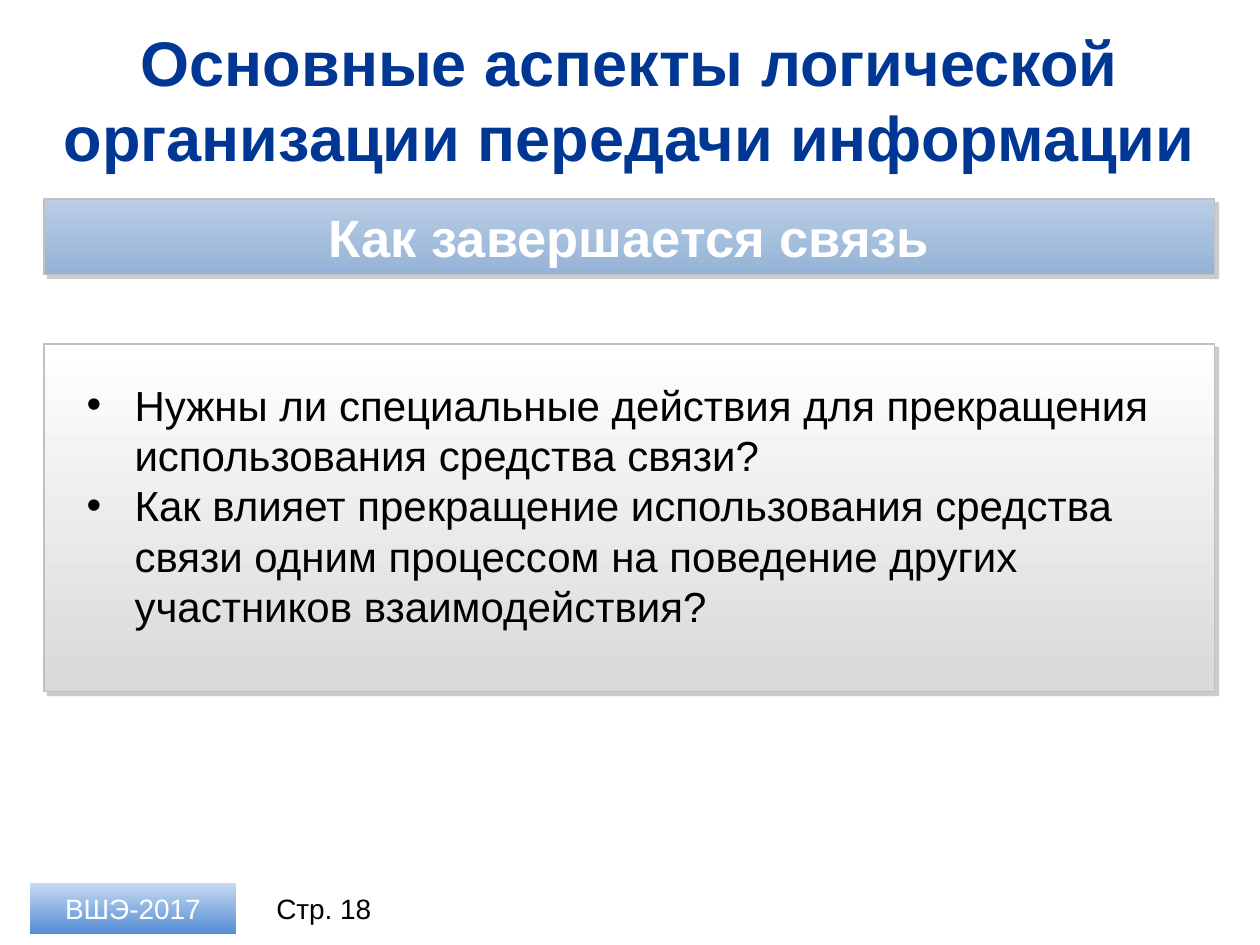
import pptx
import pptx.dml.color
import pptx.enum.shapes
import pptx.enum.text
import pptx.oxml
import pptx.oxml.ns
import pptx.util
from pptx.util import Inches

# Content
TITLE = "Основные аспекты логической организации передачи информации"
HEADING = "Как завершается связь"
QUESTIONS = [
    "Нужны ли специальные действия для прекращения использования средства связи?",
    "Как влияет прекращение использования средства связи одним процессом "
    "на поведение других участников взаимодействия?",
]
FOOTER = "ВШЭ-2017"
PAGE = "Стр. 18"

THEME = {
    "font": "Arial",
    "title": (36, "003794", True),
    "heading": (30, "FFFFFF", True),
    "body": (24, "000000", False),
    "footer": (16, "FFFFFF", False),
    "page": (16, "000000", False),
    "heading_fill": ("B9CDE5", "95B3D7"),
    "panel_fill": ("FFFFFF", "D9D9D9"),
    "footer_fill": ("C6D9F1", "558ED5"),
    "border": "C0C0C0",
    "shadow": "808080",
}

# Layout
LEFT, WIDTH = 0.35, 9.29
FOOTER_TOP, FOOTER_HEIGHT = 7.01, 0.4
INDENT = Inches(0.38)

CENTER = pptx.enum.text.PP_ALIGN.CENTER
MIDDLE = pptx.enum.text.MSO_ANCHOR.MIDDLE


def rgb(value):
    return pptx.dml.color.RGBColor.from_string(value)


def style(p, role):
    size, color, bold = THEME[role]
    for r in p.runs:
        r.font.name = THEME["font"]
        r.font.size = pptx.util.Pt(size)
        r.font.bold = bold
        r.font.color.rgb = rgb(color)


def set_centered(s, text, role):
    tf = s.text_frame
    tf.word_wrap = True
    tf.vertical_anchor = MIDDLE
    tf.text = text
    p = tf.paragraphs[0]
    p.alignment = CENTER
    style(p, role)
    return tf


def add_shadow(s):
    ns = pptx.oxml.ns.nsdecls("a")
    shadow = pptx.oxml.parse_xml(
        f'<a:outerShdw {ns} blurRad="0" dist="{pptx.util.Pt(3)}" dir="2700000" '
        f'algn="tl" rotWithShape="0"><a:srgbClr val="{THEME["shadow"]}">'
        '<a:alpha val="40000"/></a:srgbClr></a:outerShdw>')
    s._element.spPr.find(pptx.oxml.ns.qn("a:effectLst")).append(shadow)


def add_box(slide, box, fill, framed=False):
    s = slide.shapes.add_shape(
        pptx.enum.shapes.MSO_SHAPE.RECTANGLE, *map(Inches, box))
    s.shadow.inherit = False
    s.fill.gradient()
    s.fill.gradient_angle = 270  # top to bottom
    for stop, color in zip(s.fill.gradient_stops, THEME[fill]):
        stop.color.rgb = rgb(color)
    if framed:
        s.line.color.rgb = rgb(THEME["border"])
        s.line.width = pptx.util.Pt(1)
        add_shadow(s)
    else:
        s.line.fill.background()
    return s


def add_bullet(p):
    pPr = p._p.get_or_add_pPr()
    pPr.set("marL", str(INDENT))
    pPr.set("indent", str(-INDENT))
    ns = pptx.oxml.ns.nsdecls("a")
    pPr.append(pptx.oxml.parse_xml(f'<a:buFont {ns} typeface="{THEME["font"]}"/>'))
    pPr.append(pptx.oxml.parse_xml(f'<a:buChar {ns} char="•"/>'))


def main():
    prs = pptx.Presentation()
    prs.slide_width, prs.slide_height = Inches(10), Inches(7.5)
    slide = prs.slides.add_slide(prs.slide_layouts[5])

    # Title
    title = slide.shapes.title
    title.left, title.top, title.width, title.height = map(
        Inches, (LEFT, 0.26, WIDTH, 1.05))
    set_centered(title, TITLE, "title")

    # Footer
    page = slide.shapes.add_textbox(
        *map(Inches, (2.03, FOOTER_TOP, 1.08, FOOTER_HEIGHT)))
    set_centered(page, PAGE, "page")
    footer = add_box(slide, (0.24, FOOTER_TOP, 1.63, FOOTER_HEIGHT), "footer_fill")
    set_centered(footer, FOOTER, "footer")

    # Heading bar
    heading = add_box(slide, (LEFT, 1.58, WIDTH, 0.6), "heading_fill", True)
    tf = set_centered(heading, HEADING, "heading")
    tf.margin_left = tf.margin_right = Inches(0.24)
    tf.margin_top = tf.margin_bottom = Inches(0.04)

    # Questions on a panel
    add_box(slide, (LEFT, 2.73, WIDTH, 2.76), "panel_fill", True)
    body = slide.shapes.add_textbox(*map(Inches, (0.59, 2.96, 8.74, 2.12)))
    tf = body.text_frame
    tf.word_wrap = True
    tf.auto_size = pptx.enum.text.MSO_AUTO_SIZE.SHAPE_TO_FIT_TEXT
    tf.text = "\n".join(QUESTIONS)
    for p in tf.paragraphs:
        add_bullet(p)
        style(p, "body")

    prs.save("out.pptx")


if __name__ == "__main__":
    main()
